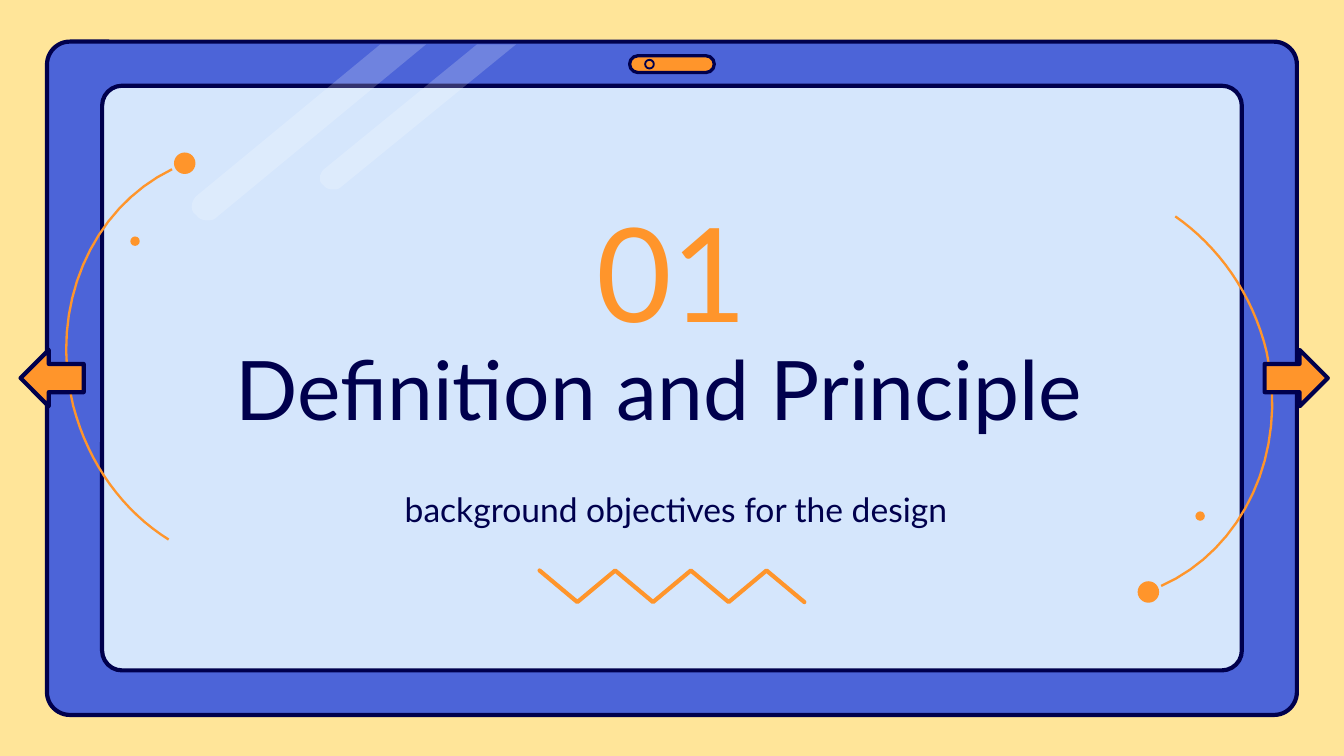
from pptx import Presentation
from pptx.dml.color import RGBColor
from pptx.enum.shapes import MSO_SHAPE
from pptx.enum.text import MSO_ANCHOR, PP_ALIGN
from pptx.oxml.ns import qn
from pptx.util import Inches, Pt
from lxml import etree

ROUND = MSO_SHAPE.ROUNDED_RECTANGLE
OVAL = MSO_SHAPE.OVAL
LEFT = MSO_SHAPE.LEFT_ARROW
RIGHT = MSO_SHAPE.RIGHT_ARROW
TOP, MIDDLE, BOTTOM = MSO_ANCHOR.TOP, MSO_ANCHOR.MIDDLE, MSO_ANCHOR.BOTTOM
CENTER = PP_ALIGN.CENTER

SAND = RGBColor(0xFF, 0xE5, 0x99)
BLUE = RGBColor(0x4C, 0x64, 0xD8)
PALE = RGBColor(0xD5, 0xE6, 0xFC)
NAVY = RGBColor(0x00, 0x00, 0x4D)
ORANGE = RGBColor(0xFF, 0x95, 0x2B)
WHITE = RGBColor(0xFF, 0xFF, 0xFF)

FONT = "Lato"
WIDE = Inches(10)
HIGH = WIDE * 9 // 16
COLS = 100
CELL = WIDE / COLS
STEPS = 16

RAYS = (
    [(31.7, 3.3), (16.2, 16.1), (15.9, 16.4, 15.7, 16.4, 15.4, 16.4),
     (15.1, 16.4, 14.8, 16.3, 14.6, 16), (14.1, 15.7, 14.2, 15, 14.6, 14.6),
     (28.3, 3.3)],
    [(38.4, 3.3), (25.4, 13.9), (25.2, 14.1, 25, 14.1, 24.8, 14.1),
     (24.5, 14.1, 24.2, 14, 24.1, 13.8), (23.6, 13.5, 23.8, 12.9, 24.1, 12.6),
     (35.5, 3.3)],
)
ARCS = (
    [(86.4, 43.6), (92.5, 40.9, 95.9, 33.7, 94.25, 26.2),
     (93.2, 21.8, 90.6, 18.3, 87.45, 16.1)],
    [(12.8, 12.6), (6.8, 15.5, 3.6, 22.85, 5.45, 30.2),
     (6.6, 34.6, 9.25, 38.1, 12.55, 40.15)],
)
DOTS = ((84.65, 43.25, 1.6), (88.95, 38.05, 0.7),
        (12.95, 11.35, 1.6), (9.7, 17.6, 0.7))


def grid(*units):
    return [round(unit * CELL) for unit in units]


def paint(shape, fill, line, width):
    shape.shadow.inherit = False
    if fill is None:
        shape.fill.background()
    else:
        shape.fill.solid()
        shape.fill.fore_color.rgb = fill
    if line is None:
        shape.line.fill.background()
    else:
        shape.line.color.rgb = line
        shape.line.width = Pt(width)


def add_form(slide, kind, box, fill=None, line=None, width=2.25, bend=None):
    shape = slide.shapes.add_shape(kind, *grid(*box))
    if bend is not None:
        shape.adjustments[0] = bend
    paint(shape, fill, line, width)


def bend_points(start, curve):
    ax, ay, bx, by, ex, ey = curve
    for step in range(1, STEPS + 1):
        t = step / STEPS
        u = 1 - t
        parts = u ** 3, 3 * u * u * t, 3 * u * t * t, t ** 3
        yield tuple(sum(p * v for p, v in zip(parts, axis))
                    for axis in ((start[0], ax, bx, ex), (start[1], ay, by, ey)))


def add_path(slide, path, close=False, fill=None, line=None, width=1.25):
    points = [path[0]]
    for part in path[1:]:
        if len(part) == 2:
            points.append(part)
        else:
            points.extend(bend_points(points[-1], part))
    spots = [grid(*point) for point in points]
    maker = slide.shapes.build_freeform(*spots[0])
    maker.add_line_segments(spots[1:], close=close)
    shape = maker.convert_to_shape()
    paint(shape, fill, line, width)
    return shape


def add_ray(slide, path):
    shape = add_path(slide, path, close=True, fill=WHITE)
    tint = shape._element.spPr.find(qn("a:solidFill"))[0]
    etree.SubElement(tint, qn("a:alpha")).set("val", "20000")


def add_zigzag(slide, left, right, top, bottom, count):
    step = (right - left) / count
    path = [(left + i * step, bottom if i % 2 else top) for i in range(count + 1)]
    shape = add_path(slide, path, line=ORANGE, width=2.25)
    shape.line._get_or_add_ln().set("cap", "rnd")


def add_text(slide, box, text, size, color, anchor):
    frame = slide.shapes.add_textbox(*grid(*box)).text_frame
    frame.word_wrap = True
    frame.vertical_anchor = anchor
    frame.margin_left = frame.margin_right = 0
    frame.margin_top = frame.margin_bottom = 0
    para = frame.paragraphs[0]
    para.alignment = CENTER
    run = para.add_run()
    run.text = text
    run.font.name = FONT
    run.font.size = Pt(size)
    run.font.color.rgb = color


def add_tablet(slide):
    add_form(slide, ROUND, (3.5, 3.1, 93, 50.1), BLUE, NAVY, bend=0.034)
    add_form(slide, ROUND, (7.6, 6.38, 84.8, 43.5), PALE, NAVY, bend=0.034)
    for ray in RAYS:
        add_ray(slide, ray)
    add_form(slide, ROUND, (46.85, 4.15, 6.3, 1.25), ORANGE, NAVY, 1.75, 0.5)
    add_form(slide, OVAL, (48, 4.45, 0.65, 0.65), line=NAVY, width=1)


def main():
    deck = Presentation()
    deck.slide_width, deck.slide_height = WIDE, HIGH
    slide = deck.slides.add_slide(deck.slide_layouts[6])
    slide.background.fill.solid()
    slide.background.fill.fore_color.rgb = SAND

    add_tablet(slide)
    add_text(slide, (8.3, 20.2, 81.5, 12.3), "Definition and Principle",
             44, NAVY, BOTTOM)
    add_text(slide, (27.55, 36.35, 45.5, 3.7),
             "background objectives for the design", 18, NAVY, TOP)
    add_text(slide, (27.25, 16.25, 45.5, 7.7), "01", 70, ORANGE, MIDDLE)
    add_zigzag(slide, 40.15, 59.85, 42.45, 44.8, 7)
    for arc in ARCS:
        add_path(slide, arc, line=ORANGE)
    for left, top, size in DOTS:
        add_form(slide, OVAL, (left, top, size, size), ORANGE)
    for kind, left in ((LEFT, 1.53), (RIGHT, 94.1)):
        add_form(slide, kind, (left, 26.03, 4.7, 4.2), ORANGE, NAVY)

    deck.save("out.pptx")


if __name__ == "__main__":
    main()
